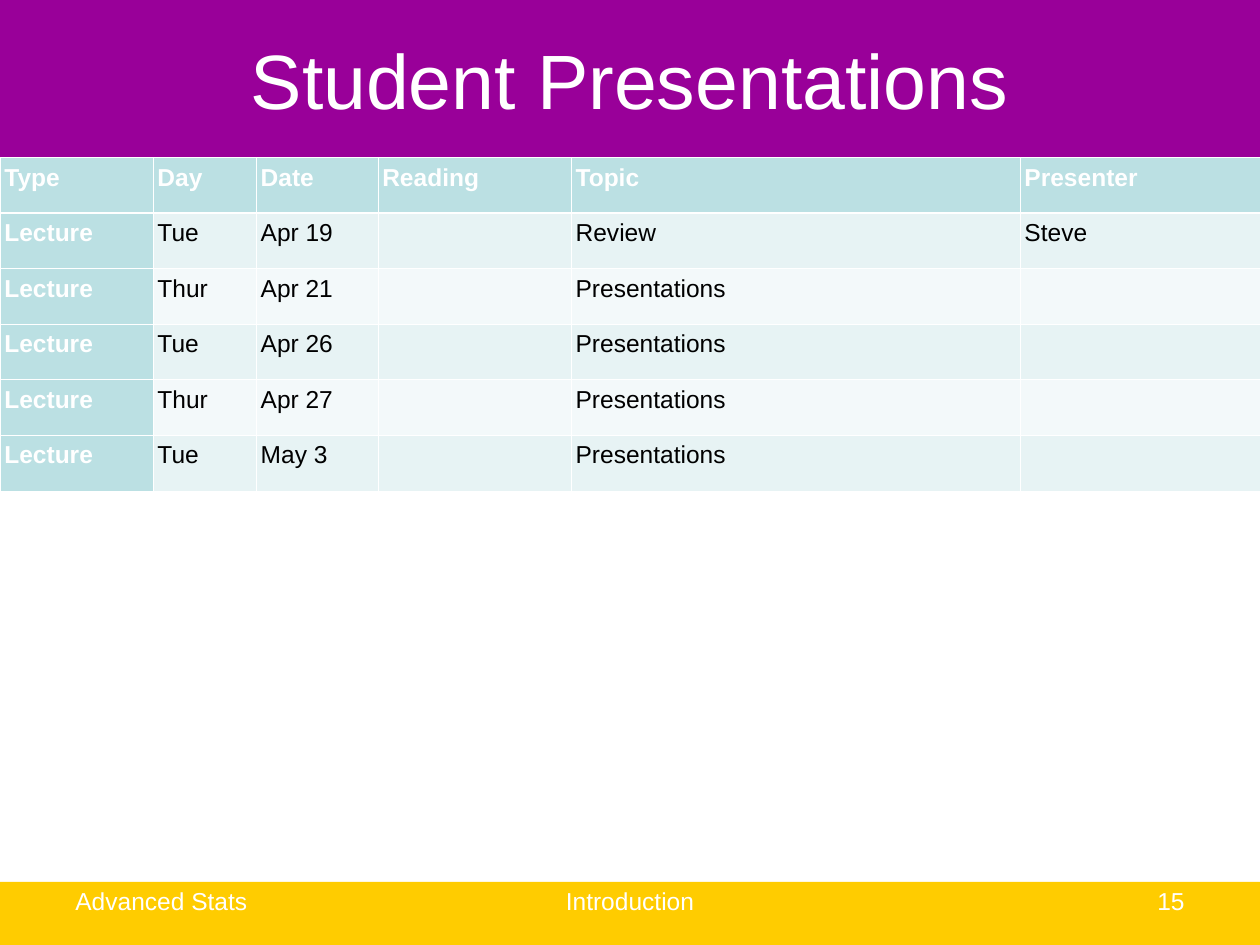
from pptx import Presentation
from pptx.dml.color import RGBColor as RGB
from pptx.enum.shapes import MSO_SHAPE as Shape
from pptx.enum.text import MSO_ANCHOR as Anchor, PP_ALIGN as Align
from pptx.oxml.ns import qn
from pptx.util import Pt
from lxml.etree import SubElement

COLORS = {
    "purple": "990099", "gold": "FFCC00", "white": "FFFFFF", "black": "000000",
    "teal": "BBE0E3", "odd": "E7F3F4", "even": "F3F9FA",
}
SCHEDULE = [
    ("Type", "Day", "Date", "Reading", "Topic", "Presenter"),
    ("Lecture", "Tue", "Apr 19", "", "Review", "Steve"),
    ("Lecture", "Thur", "Apr 21", "", "Presentations", ""),
    ("Lecture", "Tue", "Apr 26", "", "Presentations", ""),
    ("Lecture", "Thur", "Apr 27", "", "Presentations", ""),
    ("Lecture", "Tue", "May 3", "", "Presentations", ""),
]
COLUMN_WIDTHS = [87.5, 59, 69.5, 110.5, 256.5, 137]
ROW_HEIGHT = 31.75
THIN, THICK = 0.45, 1.47


class SlideBuilder:
    """Holds the style and the current slide, and adds each kind of element."""

    font_name = "Arial"

    def __init__(self, slide):
        self.slide = slide

    def color(self, key):
        return RGB.from_string(COLORS[key])

    def add_wording(self, paragraph, wording, size, color, bold=False):
        run = paragraph.add_run()
        run.text = wording
        font_format = {"name": self.font_name, "size": Pt(size), "bold": bold}
        for attribute, value in font_format.items():
            setattr(run.font, attribute, value)
        run.font.color.rgb = self.color(color)

    def band(self, top, height, color):
        band = self.slide.shapes.add_shape(Shape.RECTANGLE, 0, Pt(top), Pt(720), Pt(height))
        band.shadow.inherit = False
        band.fill.solid()
        band.fill.fore_color.rgb = self.color(color)
        band.line.fill.background()

    def text(self, wording, bounds, size, align, anchor=Anchor.TOP):
        frame = self.slide.shapes.add_textbox(*map(Pt, bounds)).text_frame
        frame_format = {"word_wrap": True, "vertical_anchor": anchor}
        for attribute, value in frame_format.items():
            setattr(frame, attribute, value)
        paragraph = frame.paragraphs[0]
        paragraph.alignment = align
        self.add_wording(paragraph, wording, size, "white")

    def border(self, cell, side, width):
        edge = SubElement(cell._tc.get_or_add_tcPr(), qn(f"a:ln{side}"), w=str(Pt(width)))
        fill = SubElement(edge, qn("a:solidFill"))
        SubElement(fill, qn("a:srgbClr"), val=COLORS["white"])

    def cell(self, cell, wording, row, column):
        is_heading = row == 0 or column == 0
        widths = {"L": THIN, "R": THIN, "T": THICK if row == 1 else THIN,
                  "B": THICK if row == 0 else THIN}
        for side, width in widths.items():
            self.border(cell, side, width)
        cell.fill.solid()
        cell.fill.fore_color.rgb = self.color(
            "teal" if is_heading else "odd" if row % 2 else "even")
        margins = {"margin_left": 2.5, "margin_right": 2.5,
                   "margin_top": 3.6, "margin_bottom": 3.6}
        for attribute, value in margins.items():
            setattr(cell, attribute, Pt(value))
        if wording:
            self.add_wording(cell.text_frame.paragraphs[0], wording, 14,
                             "white" if is_heading else "black", is_heading)

    def table(self, rows, top):
        table = self.slide.shapes.add_table(
            len(rows), len(COLUMN_WIDTHS), 0, Pt(top),
            Pt(sum(COLUMN_WIDTHS)), Pt(ROW_HEIGHT * len(rows))).table
        table.first_col = True
        for column, width in zip(table.columns, COLUMN_WIDTHS):
            column.width = Pt(width)
        for r, entries in enumerate(rows):
            table.rows[r].height = Pt(ROW_HEIGHT)
            for c, wording in enumerate(entries):
                self.cell(table.cell(r, c), wording, r, c)


def main():
    deck = Presentation()
    deck.slide_width, deck.slide_height = Pt(720), Pt(540)
    builder = SlideBuilder(deck.slides.add_slide(deck.slide_layouts[6]))
    builder.band(504, 36, "gold")
    builder.band(0, 90, "purple")
    footers = [
        ("Advanced Stats", 36, 168, Align.LEFT),
        ("Introduction", 246, 228, Align.CENTER),
        ("15", 516, 168, Align.RIGHT),
    ]
    for wording, left, width, align in footers:
        builder.text(wording, (left, 502.5, width, 37.5), 14, align)
    builder.text("Student Presentations", (36, 0, 648, 90), 44, Align.CENTER, Anchor.MIDDLE)
    builder.table(SCHEDULE, 90)
    deck.save("out.pptx")


if __name__ == "__main__":
    main()
